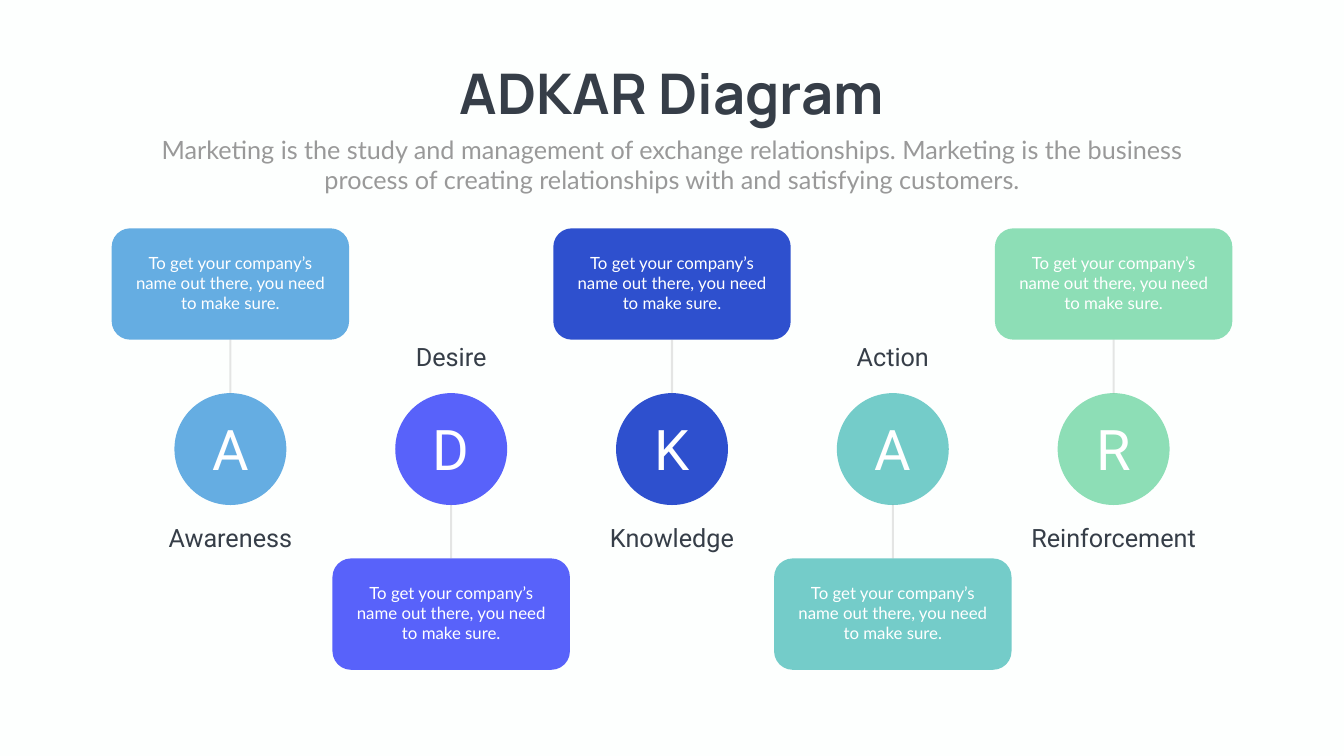
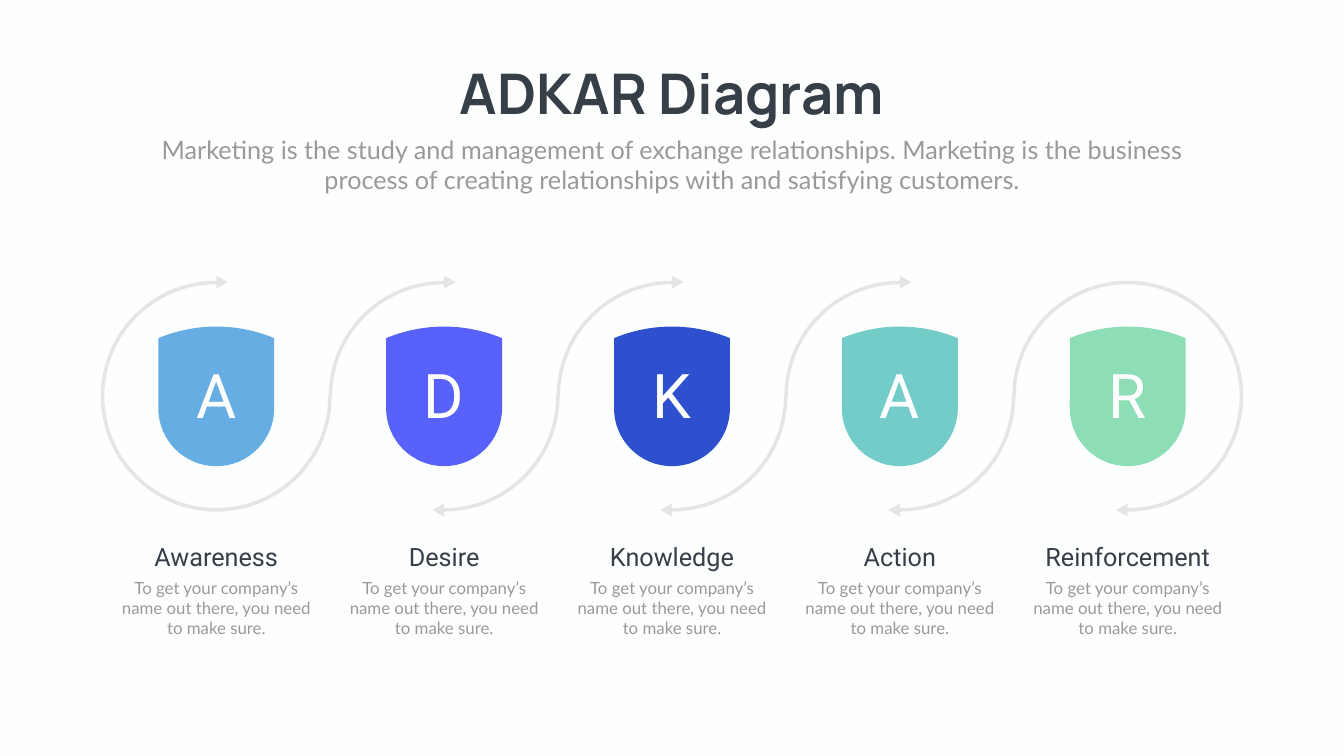
from dataclasses import dataclass
from math import cos, radians, sin, tan

from pptx import Presentation
from pptx.dml.color import RGBColor
from pptx.enum.shapes import MSO_CONNECTOR, MSO_SHAPE
from pptx.enum.text import MSO_AUTO_SIZE, PP_ALIGN
from pptx.oxml.ns import qn
from pptx.util import Inches, Pt


@dataclass(frozen=True)
class Theme:
    back: str = "FDFFFE"
    dark: str = "363E48"
    gray: str = "999999"
    white: str = "FFFFFF"
    line: str = "808080"
    head: str = "Manrope"
    sans: str = "Roboto"
    body: str = "Lato"
    title: int = 80
    badge: int = 88
    label: int = 36
    small: int = 24


THEME = Theme()
TITLE = "ADKAR Diagram"
INTRO = (
    "Marketing is the study and management of exchange relationships. "
    "Marketing is the business process of creating relationships with "
    "and satisfying customers."
)
NOTE = "To get your company’s name out there, you need to make sure."
STEPS = [
    ("Awareness", "65ADE2"),
    ("Desire", "5862FA"),
    ("Knowledge", "2E50CE"),
    ("Action", "74CCC9"),
    ("Reinforcement", "8DDEB6"),
]
MID = 13.33
RING_Y = 7.86
RING_OUT, RING_IN = 2.29, 2.22


def centers(pitch):
    """Center x of each step, spread evenly about the middle of the slide."""
    return [MID + pitch * (i - 2) for i in range(len(STEPS))]


def paint(shape, color):
    shape.shadow.inherit = False
    shape.fill.solid()
    shape.fill.fore_color.rgb = RGBColor.from_string(color)
    shape.line.fill.background()


def fade(shape, percent):
    """Set the opacity of every colour in the shape."""
    for color in shape.element.spPr.iter(qn("a:srgbClr")):
        alpha = color.makeelement(qn("a:alpha"), {"val": str(percent * 1000)})
        color.append(alpha)


def add_text(slide, words, mid, top, width, height, size, font, color,
             bold=False, wrap=True):
    box = slide.shapes.add_textbox(
        Inches(mid - width / 2), Inches(top), Inches(width), Inches(height))
    frame = box.text_frame
    frame.word_wrap = wrap
    frame.auto_size = MSO_AUTO_SIZE.SHAPE_TO_FIT_TEXT
    para = frame.paragraphs[0]
    para.alignment = PP_ALIGN.CENTER
    run = para.add_run()
    run.text = words
    run.font.size = Pt(size)
    run.font.name = font
    run.font.bold = bold
    run.font.color.rgb = RGBColor.from_string(color)


def add_label(slide, name, mid, top):
    width = 3.26 if len(name) < 10 else 3.99
    add_text(slide, name, mid, top, width, 0.71,
             THEME.label, THEME.sans, THEME.dark)


def add_note(slide, mid, top, width, color):
    add_text(slide, NOTE, mid, top, width, 1.31,
             THEME.small, THEME.body, color)


def add_block(slide, kind, mid, top, width, height, color):
    shape = slide.shapes.add_shape(
        kind, Inches(mid - width / 2), Inches(top),
        Inches(width), Inches(height))
    paint(shape, color)
    return shape


def add_link(slide, box, side, mid, start, end):
    """Join the given side of a box to a circle straight above or below."""
    link = slide.shapes.add_connector(
        MSO_CONNECTOR.STRAIGHT, Inches(mid), Inches(start),
        Inches(mid), Inches(end))
    link.begin_connect(box, side)
    link.line.width = Pt(3)
    link.line.color.rgb = RGBColor.from_string(THEME.line)
    fade(link, 20)
    props = link.element.spPr
    props.append(props.makeelement(qn("a:effectLst"), {}))


def arc(x, y, radius, start, end):
    """Bezier points of an arc; degrees run clockwise from the right."""
    count = max(2, round(abs(end - start) / 90))
    step = radians(end - start) / count
    pull = 4 / 3 * tan(step / 4)

    def spot(turn, lean):
        return (x + radius * (cos(turn) - lean * sin(turn)),
                y + radius * (sin(turn) + lean * cos(turn)))

    points = [spot(radians(start), 0)]
    for i in range(count):
        turn = radians(start) + i * step
        points += [spot(turn, pull), spot(turn + step, -pull),
                   spot(turn + step, 0)]
    return points


def add_form(slide, points, color):
    dots = [(Inches(x), Inches(y)) for x, y in points]
    path = slide.shapes.build_freeform(*dots[0])
    path.add_line_segments(dots[1:])
    shape = path.convert_to_shape()
    paint(shape, color)
    return shape


def add_curve(slide, first, second, color):
    """Fill the outline of two arcs joined by straight edges."""
    edge = [first[-1], second[0]]
    shape = add_form(slide, first + edge + second, color)
    path = next(shape.element.spPr.iter(qn("a:path")))
    lines = path.findall(qn("a:lnTo"))
    for i in range(0, len(lines), 3):
        curve = path.makeelement(qn("a:cubicBezTo"), {})
        lines[i].addprevious(curve)
        for line in lines[i:i + 3]:
            curve.append(line[0])
            path.remove(line)
    return shape


def add_shield(slide, mid, color):
    add_curve(slide, arc(mid, 8.1, 1.15, 0, 180),
              arc(mid, 9.47, 2.99, 247.4, 292.6), color)


def add_band(slide, mid, start, end):
    band = add_curve(slide, arc(mid, RING_Y, RING_OUT, start, end),
                     arc(mid, RING_Y, RING_IN, end, start), THEME.line)
    fade(band, 20)


def add_tip(slide, mid, way):
    """Arrow tip: way 1 points right on top, way -1 left at the bottom."""
    y = RING_Y - way * 2.26
    points = [(mid + way * 0.23, y), (mid, y - 0.13), (mid, y + 0.13)]
    fade(add_form(slide, points, THEME.line), 20)


def add_slide(deck):
    slide = deck.slides.add_slide(deck.slide_layouts[6])
    fill = slide.background.fill
    fill.solid()
    fill.fore_color.rgb = RGBColor.from_string(THEME.back)
    add_text(slide, TITLE, MID, 1.12, 9.48, 1.45, THEME.title,
             THEME.head, THEME.dark, bold=True, wrap=False)
    add_text(slide, INTRO, MID, 2.61, 20.82, 1.31,
             THEME.label, THEME.body, THEME.gray)
    return slide


def draw_cards(deck):
    slide = add_slide(deck)
    for i, (mid, (name, color)) in enumerate(zip(centers(4.38), STEPS)):
        high = i % 2 == 0
        box_top = 4.53 if high else 11.08
        add_block(slide, MSO_SHAPE.OVAL, mid, 7.8, 2.22, 2.22, color)
        box = add_block(slide, MSO_SHAPE.ROUNDED_RECTANGLE,
                        mid, box_top, 4.71, 2.21, color)
        if high:
            add_link(slide, box, 2, mid, 6.74, 7.81)
        else:
            add_link(slide, box, 0, mid, 11.08, 10.01)
        add_text(slide, name[0], mid, 8.18, 1.45, 1.45,
                 THEME.title, THEME.sans, THEME.white)
        add_note(slide, mid, box_top + 0.43, 4.17, THEME.white)
        add_label(slide, name, mid, 10.31 if high else 6.72)


def draw_shields(deck):
    slide = add_slide(deck)
    last = len(STEPS) - 1
    for i, (mid, (name, color)) in enumerate(zip(centers(4.52), STEPS)):
        add_shield(slide, mid, color)
        if i == 0:
            add_band(slide, mid, 0, 270)
        elif i == last:
            add_band(slide, mid, 180, 450)
        else:
            add_band(slide, mid, 180, 270)
            add_band(slide, mid, 0, 90)
        if i < last:
            add_tip(slide, mid, 1)
        if i > 0:
            add_tip(slide, mid, -1)
        add_text(slide, name[0], mid, 7.03, 1.49, 1.58,
                 THEME.badge, THEME.sans, THEME.white)
        add_label(slide, name, mid, 10.7)
        add_note(slide, mid, 11.41, 4.04, THEME.gray)


def main():
    deck = Presentation()
    deck.slide_width = Inches(26.66)
    deck.slide_height = Inches(15)
    draw_cards(deck)
    draw_shields(deck)
    deck.save("out.pptx")


if __name__ == "__main__":
    main()
